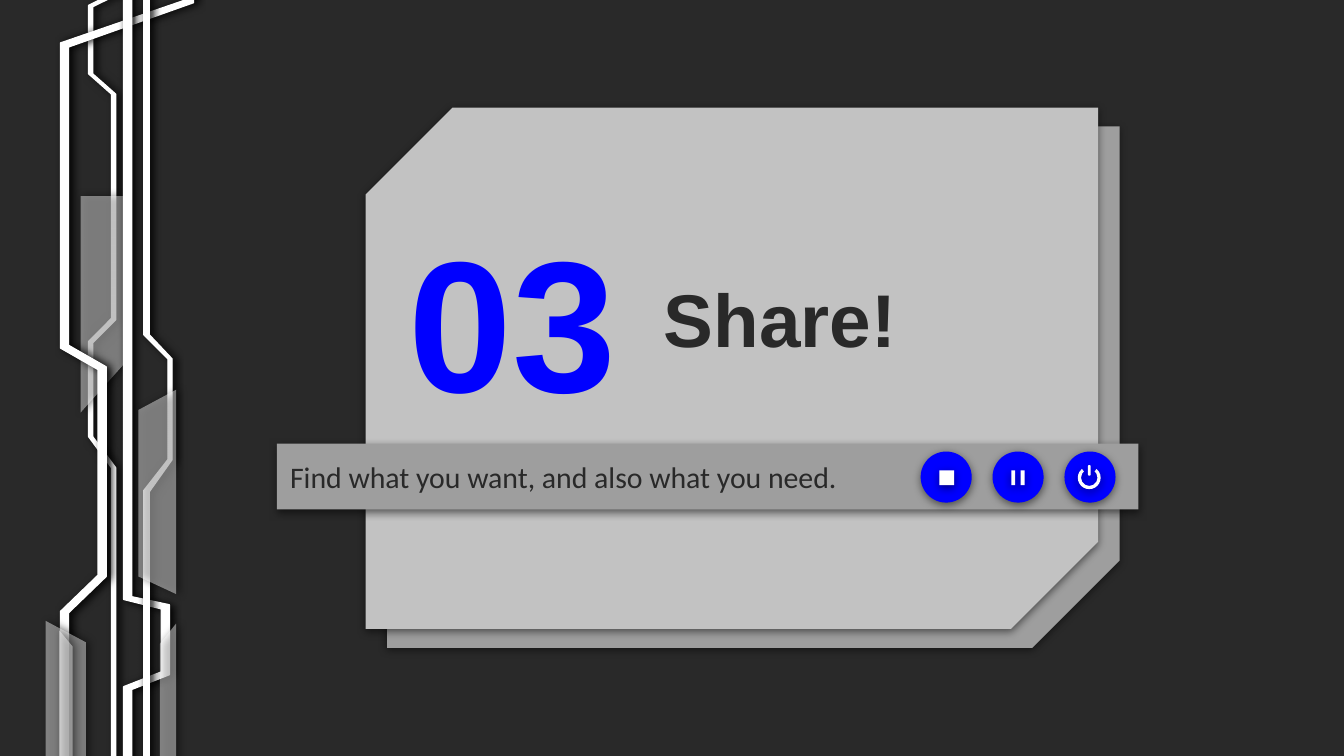
from dataclasses import dataclass
from typing import Optional

from lxml import etree
from pptx import Presentation
from pptx import util as u
from pptx.dml.color import RGBColor
from pptx.enum import shapes, text
from pptx.oxml import ns

DARK = RGBColor(0x29, 0x29, 0x29)
GREY = RGBColor(0x9E, 0x9E, 0x9E)
LIGHT = RGBColor(0xC2, 0xC2, 0xC2)
WHITE = RGBColor(0xFF, 0xFF, 0xFF)
BLUE = RGBColor(0x00, 0x00, 0xFF)

UNIT = u.Inches(0.01)
KIND = shapes.MSO_SHAPE
INSETS = dict.fromkeys(
    ("margin_left", "margin_top", "margin_right", "margin_bottom"), u.Inches(0.1))


@dataclass(frozen=True)
class Shadow:
    opacity: int
    angle: int


SOFT = Shadow(50, 90)
SIDE = Shadow(100, 0)


@dataclass(frozen=True)
class Box:
    left: float
    top: float
    width: float
    height: float

    def place(self) -> tuple:
        return tuple(u.Inches(value) for value in
                     (self.left, self.top, self.width, self.height))


@dataclass(frozen=True)
class Piece:
    box: Box
    color: RGBColor
    kind: int = KIND.RECTANGLE
    adjustments: tuple = ()


@dataclass(frozen=True)
class Outline:
    points: tuple
    opacity: Optional[int] = None


@dataclass(frozen=True)
class Words:
    content: str
    size: int
    font: str
    color: RGBColor
    bold: bool = False
    align: int = text.PP_ALIGN.LEFT


TRACE_LEFT = Outline((
    (125, -191), (125, -25), (66, 4), (66, 55), (83, 70), (83, 237), (66, 254),
    (66, 325), (83, 348), (83, 566), (86, 566), (86, 348), (69, 325), (69, 255),
    (86, 238), (86, 70), (69, 55), (69, 5), (128, -24), (128, -191)))
TRACE_WIDE = Outline((
    (138, -196), (138, 0), (45, 32), (45, 259), (73, 275), (73, 428), (45, 455),
    (45, 590), (51, 590), (51, 456), (79, 429), (79, 273), (51, 257), (51, 35),
    (144, 2), (144, -196)))
TRACE_CENTER = Outline((
    (92, -203), (92, 446), (120, 453), (120, 500), (92, 511), (92, 566),
    (98, 566), (98, 513), (126, 502), (126, 450), (98, 444), (98, -203)))
TRACE_RIGHT = Outline((
    (107, -203), (107, 249), (125, 267), (125, 342), (107, 365), (107, 596),
    (111, 596), (111, 366), (128, 342), (128, 267), (111, 249), (111, -203)))
PANES = [Outline(points, 43) for points in (
    ((60, 146), (60, 307), (94, 269), (94, 146)),
    ((34, 462), (34, 619), (64, 619), (64, 478)),
    ((131, 290), (103, 305), (103, 429), (131, 442)),
    ((131, 464), (119, 479), (119, 603), (131, 617)),
    ((44, 469), (44, 613), (54, 599), (54, 481)))]
CIRCUIT = [TRACE_LEFT, PANES[0], TRACE_WIDE, TRACE_CENTER, TRACE_RIGHT, *PANES[1:]]

CARDS = [Piece(Box(left, top, 5.45, 3.88), color, KIND.SNIP_2_DIAG_RECTANGLE, (0.167, 0))
         for left, top, color in ((2.88, 0.94, GREY), (2.72, 0.8, LIGHT))]

BUTTON_LEFT, BUTTON_TOP, BUTTON_SIZE, BUTTON_STEP = 6.85, 3.36, 0.38, 0.535
ICONS = (
    (Piece(Box(0.14, 0.14, 0.11, 0.11), WHITE),),
    (Piece(Box(0.14, 0.14, 0.03, 0.11), WHITE), Piece(Box(0.21, 0.14, 0.03, 0.11), WHITE)),
    (Piece(Box(0.1, 0.11, 0.17, 0.17), WHITE, KIND.BLOCK_ARC, (310 * 0.6, 230 * 0.6, 0.14)),
     Piece(Box(0.175, 0.1, 0.02, 0.08), WHITE, KIND.ROUNDED_RECTANGLE, (0.5,))))


def assign(target, values: dict) -> None:
    for name, value in values.items():
        setattr(target, name, value)


def cast_shadow(shape, shadow: Shadow) -> None:
    shape.shadow.inherit = False
    effects = shape._element.spPr.find(ns.qn("a:effectLst"))
    outer = etree.SubElement(effects, ns.qn("a:outerShdw"), {
        "blurRad": str(u.Pt(4.5)), "dist": str(u.Pt(1.5)),
        "dir": str(shadow.angle * 60000), "algn": "bl", "rotWithShape": "0"})
    color = etree.SubElement(outer, ns.qn("a:srgbClr"), val="000000")
    etree.SubElement(color, ns.qn("a:alpha"), val=str(shadow.opacity * 1000))


def paint(shape, color: RGBColor, shadow: Shadow) -> None:
    shape.fill.solid()
    shape.fill.fore_color.rgb = color
    shape.line.fill.background()
    cast_shadow(shape, shadow)


def draw_piece(slide, piece: Piece):
    shape = slide.shapes.add_shape(piece.kind, *piece.box.place())
    for index, value in enumerate(piece.adjustments):
        shape.adjustments[index] = value
    paint(shape, piece.color, SOFT)
    return shape


def draw_outline(slide, outline: Outline) -> None:
    builder = slide.shapes.build_freeform(*outline.points[0], scale=UNIT)
    builder.add_line_segments(outline.points[1:], close=True)
    shape = builder.convert_to_shape()
    paint(shape, WHITE, SIDE)
    if outline.opacity is None:
        shape.line.color.rgb = WHITE
        shape.line.width = u.Pt(0.75)
    else:
        color = shape._element.spPr.find(ns.qn("a:solidFill"))[0]
        etree.SubElement(color, ns.qn("a:alpha"), val=str(outline.opacity * 1000))


def write(shape, words: Words) -> None:
    frame = shape.text_frame
    assign(frame, {"word_wrap": True, "auto_size": text.MSO_AUTO_SIZE.NONE,
                   "vertical_anchor": text.MSO_ANCHOR.MIDDLE, **INSETS})
    paragraph = frame.paragraphs[0]
    paragraph.alignment = words.align
    run = paragraph.add_run()
    run.text = words.content
    assign(run.font, {"size": u.Pt(words.size), "name": words.font, "bold": words.bold})
    run.font.color.rgb = words.color


def draw_button(slide, column: int, icon: tuple) -> None:
    left = BUTTON_LEFT + column * BUTTON_STEP
    draw_piece(slide, Piece(Box(left, BUTTON_TOP, BUTTON_SIZE, BUTTON_SIZE), BLUE, KIND.OVAL))
    for part in icon:
        box = Box(left + part.box.left, BUTTON_TOP + part.box.top,
                  part.box.width, part.box.height)
        draw_piece(slide, Piece(box, part.color, part.kind, part.adjustments))


def main() -> None:
    presentation = Presentation()
    assign(presentation, {"slide_width": u.Inches(10), "slide_height": u.Inches(5.625)})
    slide = presentation.slides.add_slide(presentation.slide_layouts[5])
    slide.background.fill.solid()
    slide.background.fill.fore_color.rgb = DARK

    for card in CARDS:
        draw_piece(slide, card)
    for outline in CIRCUIT:
        draw_outline(slide, outline)

    bar = draw_piece(slide, Piece(Box(2.06, 3.3, 6.41, 0.49), GREY))
    write(bar, Words("Find what you want, and also what you need.", 16, "Calibri", DARK))

    title = slide.shapes.title
    assign(title, dict(zip(("left", "top", "width", "height"),
                           Box(4.84, 1.6, 3.58, 1.53).place())))
    write(title, Words("Share!", 40, "Arial", DARK, True))
    slide.shapes._spTree.append(title._element)

    number = slide.shapes.add_textbox(*Box(2.5, 1.6, 2.63, 1.53).place())
    write(number, Words("03", 100, "Arial", BLUE, True, text.PP_ALIGN.CENTER))

    for column, icon in enumerate(ICONS):
        draw_button(slide, column, icon)
    presentation.save("out.pptx")


main()
